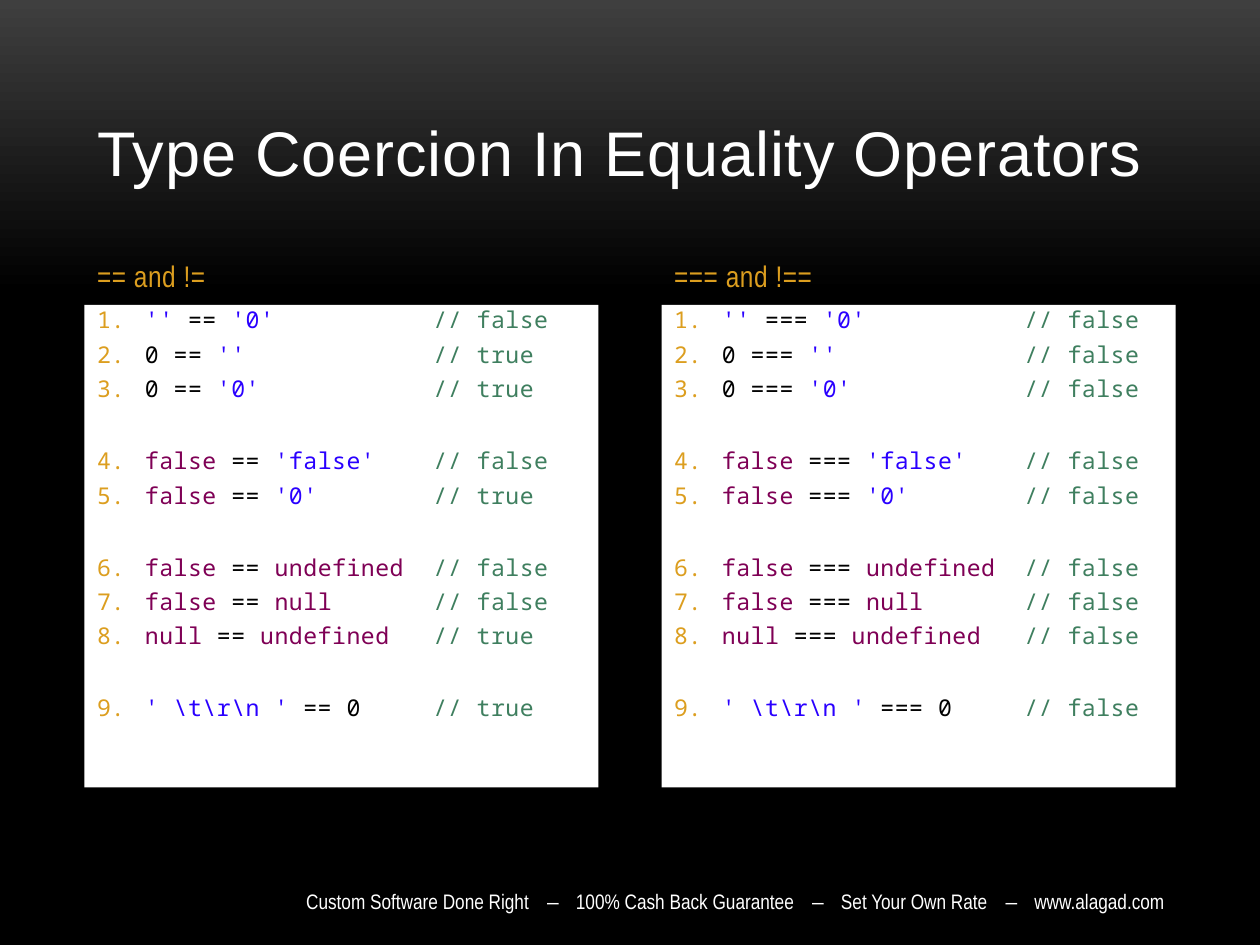
from lxml import etree
from pptx import Presentation
from pptx import util as u
from pptx.dml.color import RGBColor
from pptx.enum import text
from pptx.oxml import ns

WHITE = RGBColor(0xFF, 0xFF, 0xFF)
BLACK = RGBColor(0, 0, 0)
GREY = RGBColor(0x3F, 0x3F, 0x3F)
GOLD = RGBColor(0xDC, 0x9E, 0x1F)
BLUE = RGBColor(0x2A, 0x00, 0xFF)
PLUM = RGBColor(0x7F, 0x00, 0x55)
GREEN = RGBColor(0x3F, 0x7F, 0x5F)

SANS, NARROW, MONO = "Arial", "Arial Narrow", "Noto Sans Mono"
LEFT, WIDE, COLUMN, STEP = 0.67, 8.67, 4.08, 4.58
LINE = 21.4  # height of one code line in points

# Left operand, right operand, result of ==; one list for each group
GROUPS = [
    [("''", "'0'", "false"), ("0", "''", "true"), ("0", "'0'", "true")],
    [("false", "'false'", "false"), ("false", "'0'", "true")],
    [("false", "undefined", "false"), ("false", "null", "false"),
     ("null", "undefined", "true")],
    [(r"' \t\r\n '", "0", "true")],
]
CLAIMS = ["Custom Software Done Right", "100% Cash Back Guarantee",
          "Set Your Own Rate", "www.alagad.com"]


def tint(word):
    """Return the syntax colour of an operand."""
    if word.startswith("'"):
        return BLUE
    return PLUM if word.isalpha() else BLACK


class Deck:
    def __init__(self):
        self.file = Presentation()
        self.file.slide_width = u.Inches(10)
        self.file.slide_height = u.Inches(7.5)
        self.slide = self.file.slides.add_slide(self.file.slide_layouts[4])

    def shade(self):
        fill = self.slide.background.fill
        fill.gradient()
        fill.gradient_angle = 270
        for stop, color, place in zip(fill.gradient_stops, (GREY, BLACK), (0, 0.31)):
            stop.color.rgb = color
            stop.position = place

    def style(self, run, font, size, color, space=0.0):
        run.font.name = font
        run.font.size = u.Pt(size)
        run.font.bold = False
        run.font.color.rgb = color
        if space:
            run.font._element.set("spc", str(round(space * 100)))

    def add(self, para, words, *look):
        run = para.add_run()
        run.text = words
        self.style(run, *look)

    def holder(self, index, left, top, width, height, anchor):
        """Move a placeholder and return it."""
        box = self.slide.placeholders[index]
        box.left, box.top = u.Inches(left), u.Inches(top)
        box.width, box.height = u.Inches(width), u.Inches(height)
        frame = box.text_frame
        frame.auto_size = text.MSO_AUTO_SIZE.NONE
        frame.vertical_anchor = anchor
        return box

    def label(self, index, words, place, *look):
        """Fill a title or heading placeholder."""
        frame = self.holder(index, *place, text.MSO_ANCHOR.BOTTOM).text_frame
        frame.text = words
        para = frame.paragraphs[0]
        para.alignment = text.PP_ALIGN.LEFT
        para.space_before, para.space_after = u.Pt(0), u.Pt(6)
        self.style(para.runs[0], *look)

    def number(self, para, tab):
        """Give a paragraph a gold number, a hanging indent and a tab stop."""
        props = para._p.get_or_add_pPr()
        props.set("marL", str(u.Inches(0.38)))
        props.set("indent", str(-u.Inches(0.38)))
        tint_el = etree.SubElement(props, ns.qn("a:buClr"))
        etree.SubElement(tint_el, ns.qn("a:srgbClr"), val=str(GOLD))
        etree.SubElement(props, ns.qn("a:buFont"), typeface=MONO)
        etree.SubElement(props, ns.qn("a:buAutoNum"), type="arabicPeriod")
        tabs = etree.SubElement(props, ns.qn("a:tabLst"))
        etree.SubElement(tabs, ns.qn("a:tab"), pos=str(u.Inches(tab)), algn="l")

    def code(self, index, left, sign, tab, strict):
        box = self.holder(index, left, 2.42, COLUMN, 3.83, text.MSO_ANCHOR.TOP)
        box.fill.solid()
        box.fill.fore_color.rgb = WHITE
        frame = box.text_frame
        para = None
        for group in GROUPS:
            for row, (first, last, result) in enumerate(group):
                gap = 0 if para is None else 1 if row else 1 + LINE
                para = frame.paragraphs[0] if para is None else frame.add_paragraph()
                self.number(para, tab)
                para.line_spacing = 0.8
                para.space_before, para.space_after = u.Pt(gap), u.Pt(6)
                note = "// " + ("false" if strict else result)
                for words, color in ((first, tint(first)), (f" {sign} ", BLACK),
                                     (last + "\t", tint(last)), (note, GREEN)):
                    self.add(para, words, MONO, 13.2, color, 0.3)

    def footer(self):
        box = self.slide.shapes.add_textbox(
            u.Inches(LEFT), u.Inches(6.95), u.Inches(WIDE), u.Inches(0.4))
        frame = box.text_frame
        frame.word_wrap = True
        frame.vertical_anchor = text.MSO_ANCHOR.MIDDLE
        para = frame.paragraphs[0]
        para.alignment = text.PP_ALIGN.RIGHT
        for place, claim in enumerate(CLAIMS):
            if place:
                self.add(para, " –", SANS, 12, WHITE, 7)
                claim = " " + claim
            self.add(para, claim, NARROW, 12, WHITE)


def main():
    deck = Deck()
    deck.shade()
    deck.label(0, "Type Coercion In Equality Operators",
               (LEFT, 0.3, WIDE, 1.25), SANS, 36, WHITE, 0.5)
    columns = [("==", "!=", 2.67, False), ("===", "!==", 2.78, True)]
    for place, (same, other, tab, strict) in enumerate(columns):
        left = LEFT + place * STEP
        deck.label(1 + 2 * place, f"{same} and {other}",
                   (left, 1.75, COLUMN, 0.63), NARROW, 17, GOLD, 0.3)
        deck.code(2 + 2 * place, left, same, tab, strict)
    deck.footer()
    deck.file.save("out.pptx")


if __name__ == "__main__":
    main()
